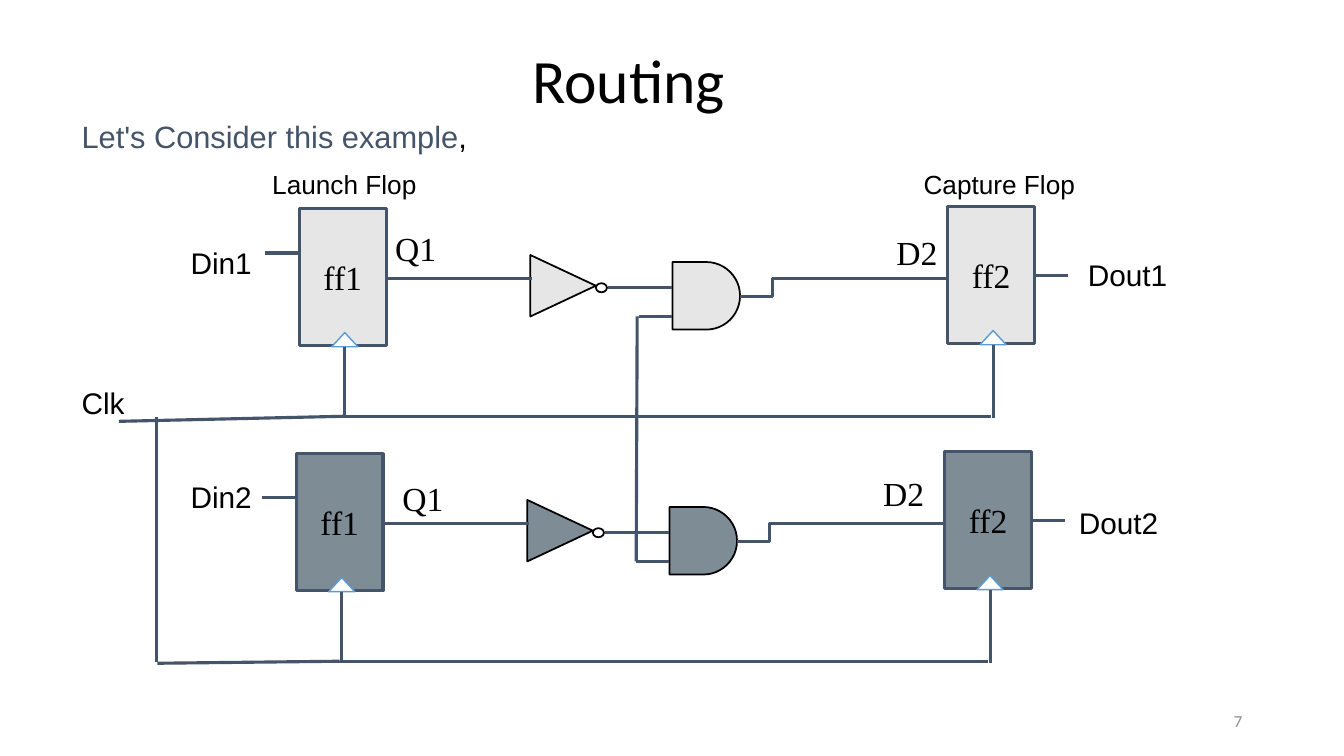
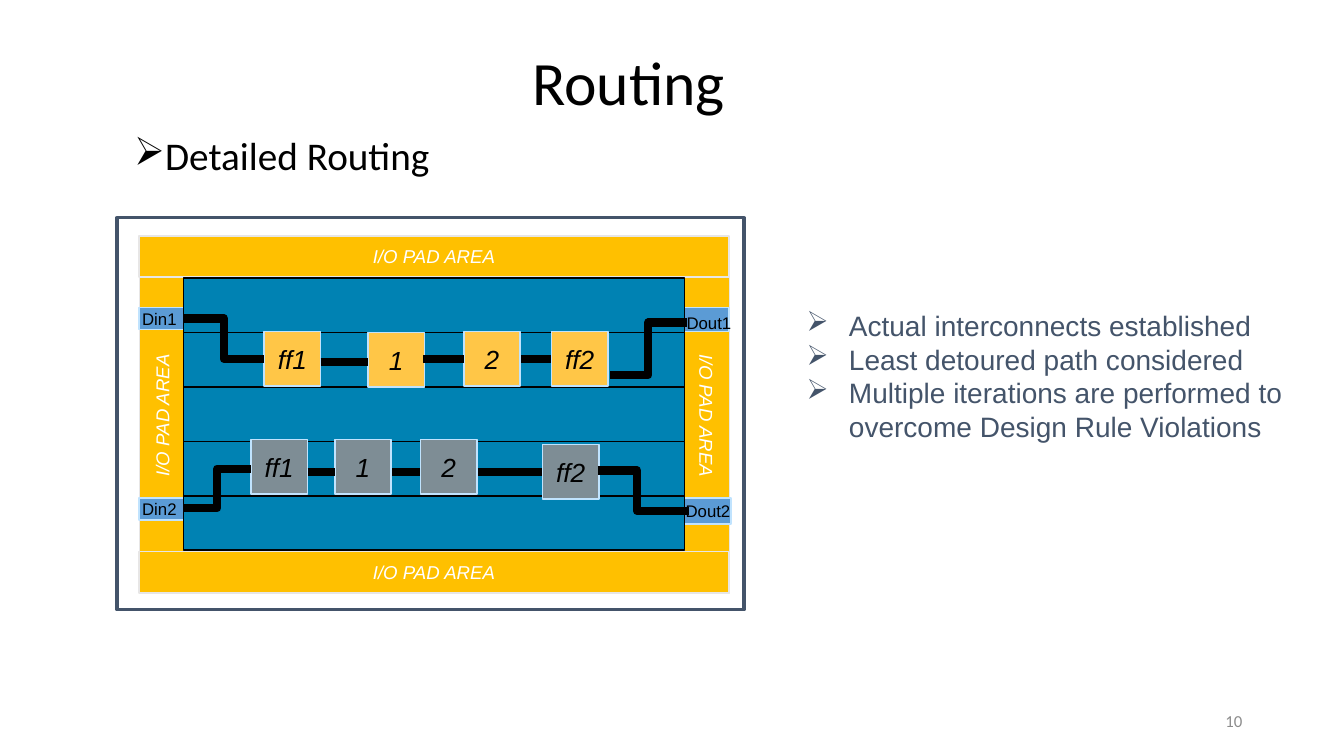
from dataclasses import dataclass

from lxml import etree
from pptx import Presentation
from pptx.dml.color import RGBColor
from pptx.enum.shapes import MSO_CONNECTOR, MSO_SHAPE
from pptx.enum.text import MSO_ANCHOR, PP_ALIGN
from pptx.oxml.ns import qn
from pptx.util import Inches, Pt

LEFT, CENTER, RIGHT = PP_ALIGN.LEFT, PP_ALIGN.CENTER, PP_ALIGN.RIGHT
TOP, MIDDLE = MSO_ANCHOR.TOP, MSO_ANCHOR.MIDDLE
RECT, OVAL = MSO_SHAPE.RECTANGLE, MSO_SHAPE.OVAL
WEDGE, DELAY = MSO_SHAPE.ISOSCELES_TRIANGLE, MSO_SHAPE.FLOWCHART_DELAY
STRAIGHT, ELBOW = MSO_CONNECTOR.STRAIGHT, MSO_CONNECTOR.ELBOW

SLATE, BLACK, WHITE = "44546A", "000000", "FFFFFF"
PALE, STEEL, GRAY = "E7E6E6", "7E8D95", "8C8C8C"
GOLD, AMBER = "FFC000", "FFC647"
BLUE, OCEAN, SKY = "5B9BD5", "0082B3", "C0E3FE"
ARROW = "➢"


@dataclass(frozen=True)
class Style:
    size: float
    face: str = "Arial"
    color: str = BLACK
    slant: bool = False
    align: PP_ALIGN = LEFT


@dataclass(frozen=True)
class Pen:
    color: str
    width: float


@dataclass(frozen=True)
class Box:
    left: float
    top: float
    width: float
    height: float

    def shift(self, right: float, down: float) -> "Box":
        return Box(self.left + right, self.top + down, self.width, self.height)

    def inches(self) -> tuple:
        return tuple(Inches(n) for n in (self.left, self.top, self.width, self.height))


@dataclass(frozen=True)
class Label:
    text: str
    left: float
    top: float
    style: Style
    width: float = 1


@dataclass(frozen=True)
class Row:
    right: float
    down: float
    fill: str


@dataclass(frozen=True)
class Flop:
    name: str
    left: float
    top: float


@dataclass(frozen=True)
class Cell:
    name: str
    left: float
    top: float
    fill: str


@dataclass(frozen=True)
class Wire:
    start: tuple
    end: tuple
    kind: MSO_CONNECTOR = STRAIGHT


HEAD = Style(44, "Calibri", align=CENTER)
FOOT = Style(12, "Calibri", GRAY, align=RIGHT)
TOPIC = Style(28, "Calibri")
INTRO = Style(22, color=SLATE)
POINT = Style(20, color=SLATE)
PORT = Style(21.3)
ROLE = Style(18.7)
PIN = Style(24, "Times New Roman")
FLOP = Style(24, "Times New Roman", align=CENTER)
BAND = Style(13.3, color=WHITE, slant=True, align=CENTER)
CELL = Style(18.7, slant=True, align=CENTER)
TAG = Style(12)

NET = Pen(SLATE, 2.25)
EDGE = Pen(BLACK, 1.25)
TRACK = Pen(BLACK, 6)
TRIM = Pen(PALE, 1.25)
GLOW = Pen(SKY, 1.25)
CLOCK = Pen(BLUE, 1)


def tint(code: str) -> RGBColor:
    return RGBColor.from_string(code)


def dress(para, style: Style) -> None:
    font = para.font
    font.size, font.name, font.italic = Pt(style.size), style.face, style.slant
    font.color.rgb = tint(style.color)
    para.alignment = style.align


def setup(frame, inset: float = 0, anchor: MSO_ANCHOR = TOP) -> None:
    frame.word_wrap = True
    frame.vertical_anchor = anchor
    frame.margin_left = frame.margin_right = Inches(inset)
    frame.margin_top = frame.margin_bottom = Inches(inset / 2)


def bullet(para, color: str, hang: float) -> None:
    props = para._p.get_or_add_pPr()
    props.set("marL", str(Inches(hang)))
    props.set("indent", str(-Inches(hang)))
    paint = etree.SubElement(props, qn("a:buClr"))
    etree.SubElement(paint, qn("a:srgbClr")).set("val", color)
    etree.SubElement(props, qn("a:buChar")).set("char", ARROW)


def write(slide, box: Box, lines: list, style: Style, hang: float = 0):
    frame = slide.shapes.add_textbox(*box.inches()).text_frame
    setup(frame)
    for index, line in enumerate(lines):
        para = frame.add_paragraph() if index else frame.paragraphs[0]
        para.text = line
        if hang:
            bullet(para, style.color, hang)
        dress(para, style)
    return frame


def tag(slide, label: Label) -> None:
    box = Box(label.left, label.top, label.width, label.style.size / 60)
    write(slide, box, [label.text], label.style)


def block(slide, kind: MSO_SHAPE, box: Box, fill: str, pen: Pen,
          text: str = "", style: Style = CELL, turn: float = 0) -> None:
    shape = slide.shapes.add_shape(kind, *box.inches())
    shape.shadow.inherit = False
    shape.rotation = turn
    shape.fill.solid()
    shape.fill.fore_color.rgb = tint(fill)
    shape.line.color.rgb = tint(pen.color)
    shape.line.width = Pt(pen.width)
    if text:
        setup(shape.text_frame, 0.1, MIDDLE)
        para = shape.text_frame.paragraphs[0]
        para.text = text
        dress(para, style)


def link(slide, wire: Wire, pen: Pen, right: float = 0, down: float = 0) -> None:
    ends = [Inches(n) for x, y in (wire.start, wire.end) for n in (x + right, y + down)]
    line = slide.shapes.add_connector(wire.kind, *ends)
    line.line.color.rgb = tint(pen.color)
    line.line.width = Pt(pen.width)
    etree.SubElement(line._element.spPr, qn("a:effectLst"))


def start(deck, number: str, top: float):
    slide = deck.slides.add_slide(deck.slide_layouts[5])
    title = slide.shapes.title
    title.left, title.top, title.width, title.height = Box(0, top, 12.47, 0.82).inches()
    setup(title.text_frame, 0, MIDDLE)
    para = title.text_frame.paragraphs[0]
    para.text = "Routing"
    para.line_spacing = 0.9
    dress(para, HEAD)
    foot = write(slide, Box(9.42, 6.95, 3, 0.4), [number], FOOT)
    setup(foot, 0.1, MIDDLE)
    return slide


ROWS = [Row(0, 0, PALE), Row(-0.03, 2.43, STEEL)]
FLOPS = [Flop("ff1", 2.97, 2.07), Flop("ff2", 9.4, 2.05)]
NETS = [
    Wire((2.97, 2.51), (2.63, 2.51)),
    Wire((3.83, 2.76), (5.28, 2.76)),
    Wire((6.03, 2.85), (6.67, 2.85)),
    Wire((6.34, 3.14), (6.67, 3.14)),
    Wire((7.34, 2.94), (7.98, 2.76), ELBOW),
    Wire((7.94, 2.76), (9.4, 2.76)),
    Wire((10.26, 2.73), (10.59, 2.73)),
    Wire((3.42, 4.13), (9.83, 4.13)),
]
TRUNKS = [
    Wire((3.4, 4.13), (1.18, 4.18)),
    Wire((3.37, 6.56), (1.56, 6.58)),
    Wire((1.55, 4.14), (1.55, 6.57)),
    Wire((6.31, 5.57), (6.32, 3.14)),
]
NAMES = [
    Label("Launch Flop", 2.7, 1.67, ROLE, 1.6),
    Label("Capture Flop", 9.16, 1.67, ROLE, 1.6),
    Label("Q1", 3.92, 2.26, PIN),
    Label("Q1", 3.99, 4.74, PIN),
    Label("D2", 8.89, 2.3, PIN),
    Label("D2", 8.76, 4.69, PIN),
    Label("Din1", 1.89, 2.43, PORT),
    Label("Din2", 1.89, 4.75, PORT),
    Label("Dout1", 10.79, 2.55, PORT),
    Label("Dout2", 10.7, 5.01, PORT),
    Label("Clk", 0.81, 3.82, PORT),
]


def logic(slide, row: Row) -> None:
    def put(kind: MSO_SHAPE, box: Box, fill: str, pen: Pen, **more) -> None:
        block(slide, kind, box.shift(row.right, row.down), fill, pen, **more)

    for flop in FLOPS:
        stem = flop.left + 0.45
        put(RECT, Box(flop.left, flop.top, 0.86, 1.36), row.fill, NET,
            text=flop.name, style=FLOP)
        put(WEDGE, Box(stem - 0.13, flop.top + 1.23, 0.26, 0.14), WHITE, CLOCK)
        link(slide, Wire((stem, flop.top + 1.37), (stem, 4.15)), NET, row.right, row.down)
    put(WEDGE, Box(5.28, 2.51, 0.61, 0.65), row.fill, EDGE, turn=90)
    put(OVAL, Box(5.91, 2.81, 0.11, 0.09), WHITE, EDGE)
    put(DELAY, Box(6.67, 2.6, 0.67, 0.67), row.fill, EDGE)
    for wire in NETS:
        link(slide, wire, NET, row.right, row.down)


def circuit(deck) -> None:
    slide = start(deck, "7", 0.42)
    intro = write(slide, Box(0.81, 1.17, 11.33, 0.37), ["Let's Consider this example"], INTRO)
    comma = intro.paragraphs[0].add_run()
    comma.text = ","
    comma.font.color.rgb = tint(BLACK)
    for row in ROWS:
        logic(slide, row)
    for wire in TRUNKS:
        link(slide, wire, NET)
    for label in NAMES:
        tag(slide, label)


BANDS = [
    (Box(5.25, 3.9, 3.52, 0.45), 90),
    (Box(-0.16, 3.9, 3.53, 0.44), 270),
    (Box(1.38, 2.34, 5.85, 0.41), 0),
    (Box(1.38, 5.47, 5.85, 0.41), 0),
]
PADS = [
    (Box(1.38, 3.05, 0.44, 0.22), Label("Din1", 1.41, 3.06, TAG, 0.5)),
    (Box(1.38, 4.94, 0.44, 0.22), Label("Din2", 1.41, 4.95, TAG, 0.5)),
    (Box(6.78, 3.05, 0.45, 0.24), Label("Dout1", 6.81, 3.1, TAG, 0.5)),
    (Box(6.78, 4.94, 0.47, 0.26), Label("Dout2", 6.8, 4.97, TAG, 0.5)),
]
CELLS = [
    Cell("ff1", 2.62, 3.29, AMBER),
    Cell("1", 3.65, 3.3, AMBER),
    Cell("2", 4.6, 3.29, AMBER),
    Cell("ff2", 5.47, 3.29, AMBER),
    Cell("ff1", 2.49, 4.36, STEEL),
    Cell("1", 3.32, 4.36, STEEL),
    Cell("2", 4.17, 4.36, STEEL),
    Cell("ff2", 5.38, 4.41, STEEL),
]
TRACKS = [
    Wire((1.82, 3.16), (2.62, 3.56), ELBOW),
    Wire((3.18, 3.59), (3.65, 3.59)),
    Wire((4.2, 3.56), (4.6, 3.56)),
    Wire((5.17, 3.56), (5.47, 3.56)),
    Wire((6.81, 3.2), (6.05, 3.72), ELBOW),
    Wire((2.49, 4.65), (1.82, 5.04), ELBOW),
    Wire((3.05, 4.68), (3.32, 4.68)),
    Wire((3.89, 4.68), (4.17, 4.68)),
    Wire((4.74, 4.68), (5.38, 4.68)),
    Wire((5.93, 4.67), (6.71, 5.07), ELBOW),
    Wire((6.52, 5.07), (6.83, 5.07)),
]
POINTS = [
    "Actual interconnects established",
    "Least detoured path considered",
    "Multiple iterations are performed to overcome Design Rule Violations",
]


def layout(deck) -> None:
    slide = start(deck, "10", 0.44)
    topic = write(slide, Box(1.33, 1.36, 12, 0.5), ["Detailed Routing"], TOPIC, 0.28)
    topic.paragraphs[0].line_spacing = 0.9
    block(slide, RECT, Box(1.16, 2.16, 6.22, 3.89), WHITE, NET)
    for box, turn in BANDS:
        block(slide, RECT, box, GOLD, TRIM, "I/O PAD AREA", BAND, turn)
    for box, label in PADS:
        block(slide, RECT, box, BLUE, GLOW)
        tag(slide, label)
    for index in range(5):
        block(slide, RECT, Box(1.82, 2.76 + 0.54 * index, 4.97, 0.54), OCEAN, EDGE)
    for cell in CELLS:
        block(slide, RECT, Box(cell.left, cell.top, 0.56, 0.54), cell.fill, GLOW, cell.name)
    for wire in TRACKS:
        link(slide, wire, TRACK)
    write(slide, Box(8, 3.06, 5.43, 1.35), POINTS, POINT, 0.42)


def main() -> None:
    deck = Presentation()
    deck.slide_width, deck.slide_height = Inches(13.33), Inches(7.5)
    circuit(deck)
    layout(deck)
    deck.save("out.pptx")


if __name__ == "__main__":
    main()
